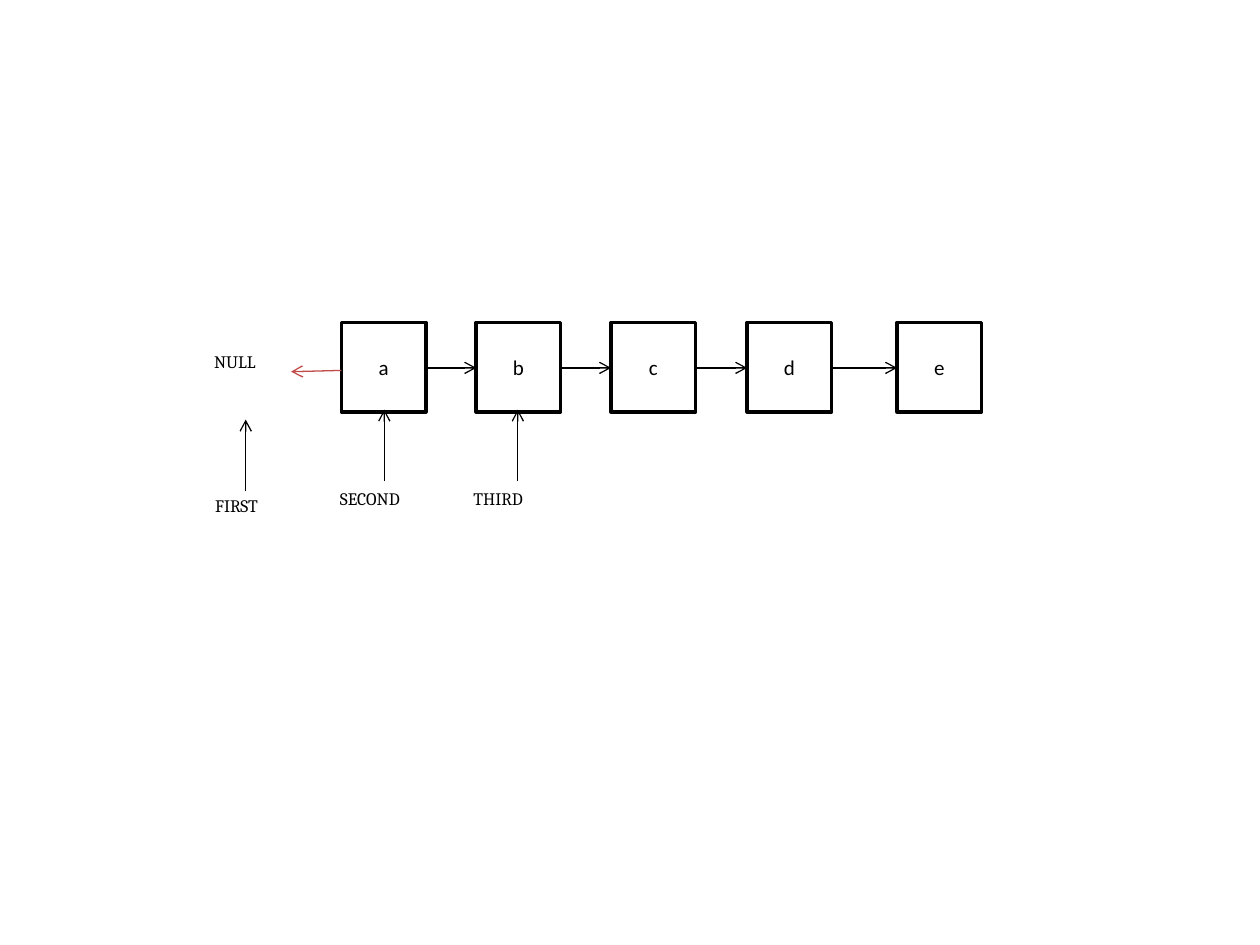
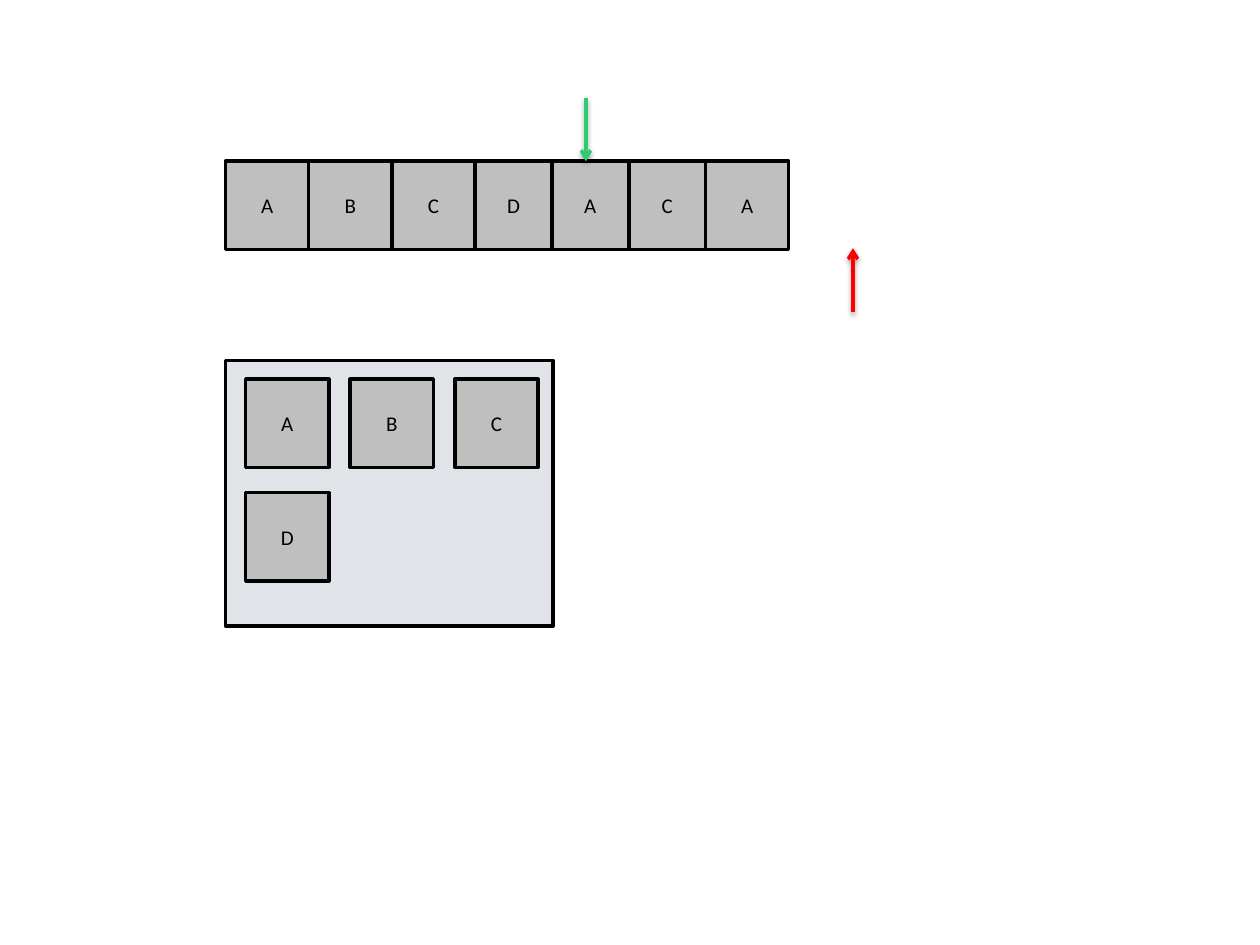
from dataclasses import dataclass
from itertools import accumulate

from lxml import etree
from pptx import Presentation, util as u
from pptx.dml.color import RGBColor
from pptx.enum import shapes, text
from pptx.oxml import ns

PX = u.Inches(1) // 100

BLACK = RGBColor(0x00, 0x00, 0x00)
WHITE = RGBColor(0xFF, 0xFF, 0xFF)
GREY = RGBColor(0xBF, 0xBF, 0xBF)
SLATE = RGBColor(0x34, 0x49, 0x5E)
BRICK = RGBColor(0xBF, 0x4C, 0x48)
GREEN = RGBColor(0x2E, 0xCC, 0x71)
RED = RGBColor(0xFF, 0x00, 0x00)


@dataclass(frozen=True)
class Box:
    left: int
    top: int
    width: int
    height: int
    fill: RGBColor
    label: str = ""
    opacity: int = 100


@dataclass(frozen=True)
class Arrow:
    start: tuple[int, int]
    end: tuple[int, int]
    color: RGBColor = BLACK
    weight: float = 0.75
    shadow: bool = False


@dataclass(frozen=True)
class Label:
    left: int
    top: int
    width: int
    words: str


def add_child(parent, tag: str, **attributes):
    return etree.SubElement(
        parent, ns.qn(tag), {name: str(value) for name, value in attributes.items()}
    )


def format_text(frame, words: str, font_name: str, size: int) -> None:
    frame.text = words
    font = frame.paragraphs[0].runs[0].font
    font.name, font.size = font_name, u.Pt(size)
    font.color.rgb = BLACK


def draw_box(slide, box: Box) -> None:
    shape = slide.shapes.add_shape(
        shapes.MSO_SHAPE.RECTANGLE,
        *(PX * length for length in (box.left, box.top, box.width, box.height)),
    )
    shape.shadow.inherit = False
    shape.fill.solid()
    shape.fill.fore_color.rgb = box.fill
    if box.opacity < 100:
        color = shape.fill._xPr.find(".//" + ns.qn("a:srgbClr"))
        add_child(color, "a:alpha", val=box.opacity * 1000)
    shape.line.color.rgb = BLACK
    shape.line.width = u.Pt(2)
    if box.label:
        frame = shape.text_frame
        frame.vertical_anchor = text.MSO_ANCHOR.MIDDLE
        format_text(frame, box.label, "Calibri", 12)
        frame.paragraphs[0].alignment = text.PP_ALIGN.CENTER


def draw_arrow(slide, arrow: Arrow) -> None:
    connector = slide.shapes.add_connector(
        shapes.MSO_CONNECTOR.STRAIGHT,
        *(PX * length for length in arrow.start + arrow.end),
    )
    connector.line.color.rgb = arrow.color
    connector.line.width = u.Pt(arrow.weight)
    add_child(connector.line._get_or_add_ln(), "a:tailEnd", type="arrow")
    effects = add_child(connector._element.spPr, "a:effectLst")
    if arrow.shadow:
        shadow = add_child(effects, "a:outerShdw", blurRad=40000, dist=20000,
                           dir=5400000, rotWithShape=0)
        color = add_child(shadow, "a:srgbClr", val=BLACK)
        add_child(color, "a:alpha", val=38000)


def draw_label(slide, label: Label) -> None:
    shape = slide.shapes.add_textbox(
        *(PX * length for length in (label.left, label.top, label.width, 42))
    )
    shape.text_frame.word_wrap = True
    format_text(shape.text_frame, label.words, "Cambria", 10)


def build_linked_list(slide) -> None:
    node_width, node_top, link_y = 67, 256, 292
    node_lefts = (271, 378, 485, 593, 712)
    for name, left in zip("abcde", node_lefts):
        draw_box(slide, Box(left, node_top, node_width, 71, WHITE, name))
    for left, following in zip(node_lefts, node_lefts[1:]):
        draw_arrow(slide, Arrow((left + node_width, link_y), (following, link_y)))

    for x, tip in ((195, 333), (305, 325), (411, 325)):
        draw_arrow(slide, Arrow((x, tip + 57), (x, tip)))
    draw_arrow(slide, Arrow((271, 294), (231, 295), BRICK))

    for label in (
        Label(160, 274, 71, "NULL"),
        Label(161, 388, 74, "FIRST"),
        Label(260, 382, 93, "SECOND"),
        Label(366, 382, 80, "THIRD"),
    ):
        draw_label(slide, label)


def build_sequence_and_set(slide) -> None:
    row_left, row_top, cell_height = 179, 128, 70
    widths = (66, 66, 66, 61, 61, 61, 66)
    for name, left, width in zip("ABCDACA", accumulate(widths, initial=row_left), widths):
        draw_box(slide, Box(left, row_top, width, cell_height, GREY, name))

    draw_box(slide, Box(row_left, 286, 260, 211, SLATE, opacity=15))
    for index, name in enumerate("ABCD"):
        row, column = divmod(index, 3)
        draw_box(slide, Box(195 + 83 * column, 301 + 90 * row, 66, cell_height, GREY, name))

    draw_arrow(slide, Arrow((465, 78), (465, row_top), GREEN, 2, shadow=True))
    draw_arrow(slide, Arrow((677, 248), (677, 197), RED, 2, shadow=True))


def main() -> None:
    presentation = Presentation()
    presentation.slide_width = PX * 1000
    presentation.slide_height = PX * 750
    blank_layout = presentation.slide_layouts[6]
    for build in (build_linked_list, build_sequence_and_set):
        build(presentation.slides.add_slide(blank_layout))
    presentation.save("out.pptx")


if __name__ == "__main__":
    main()
